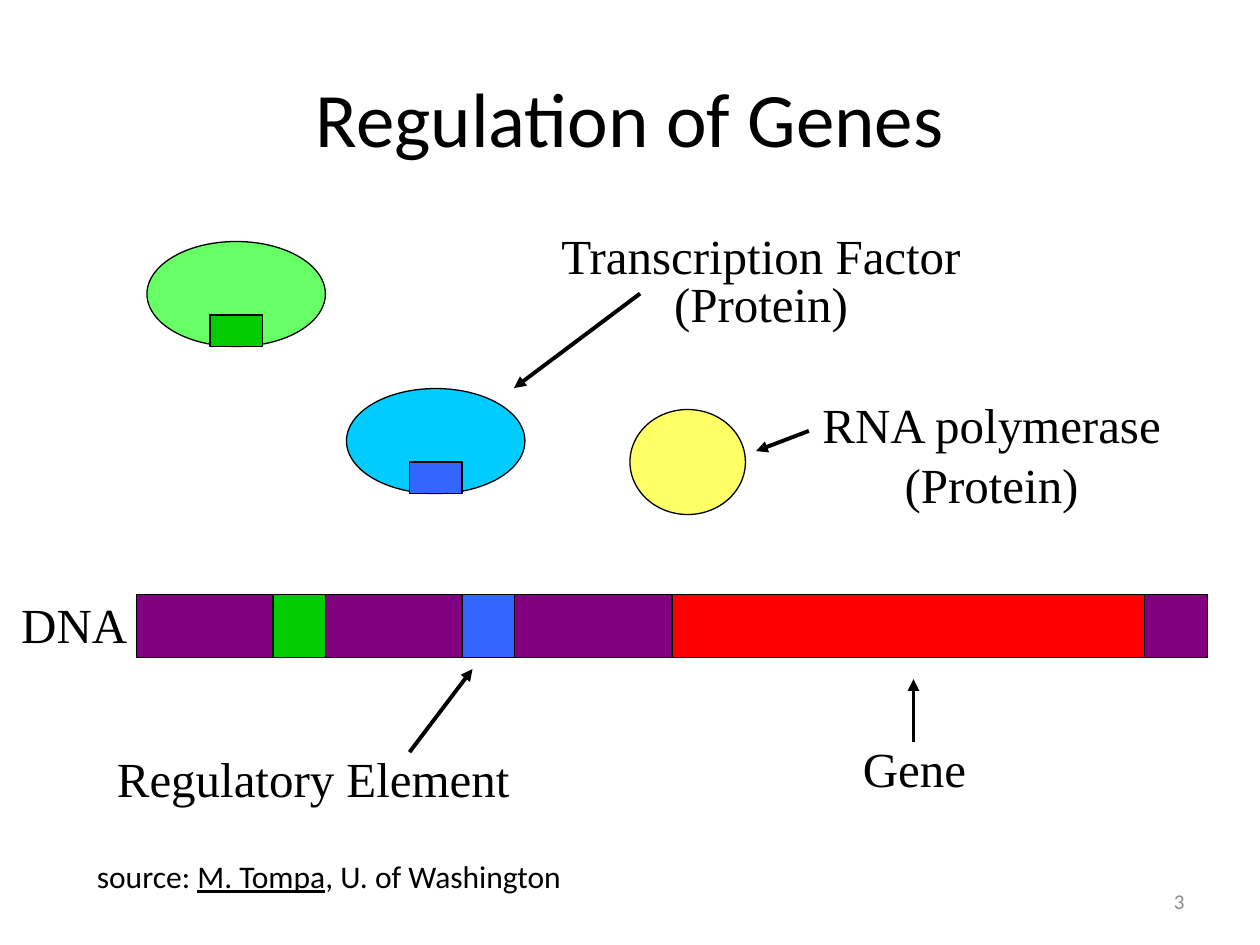
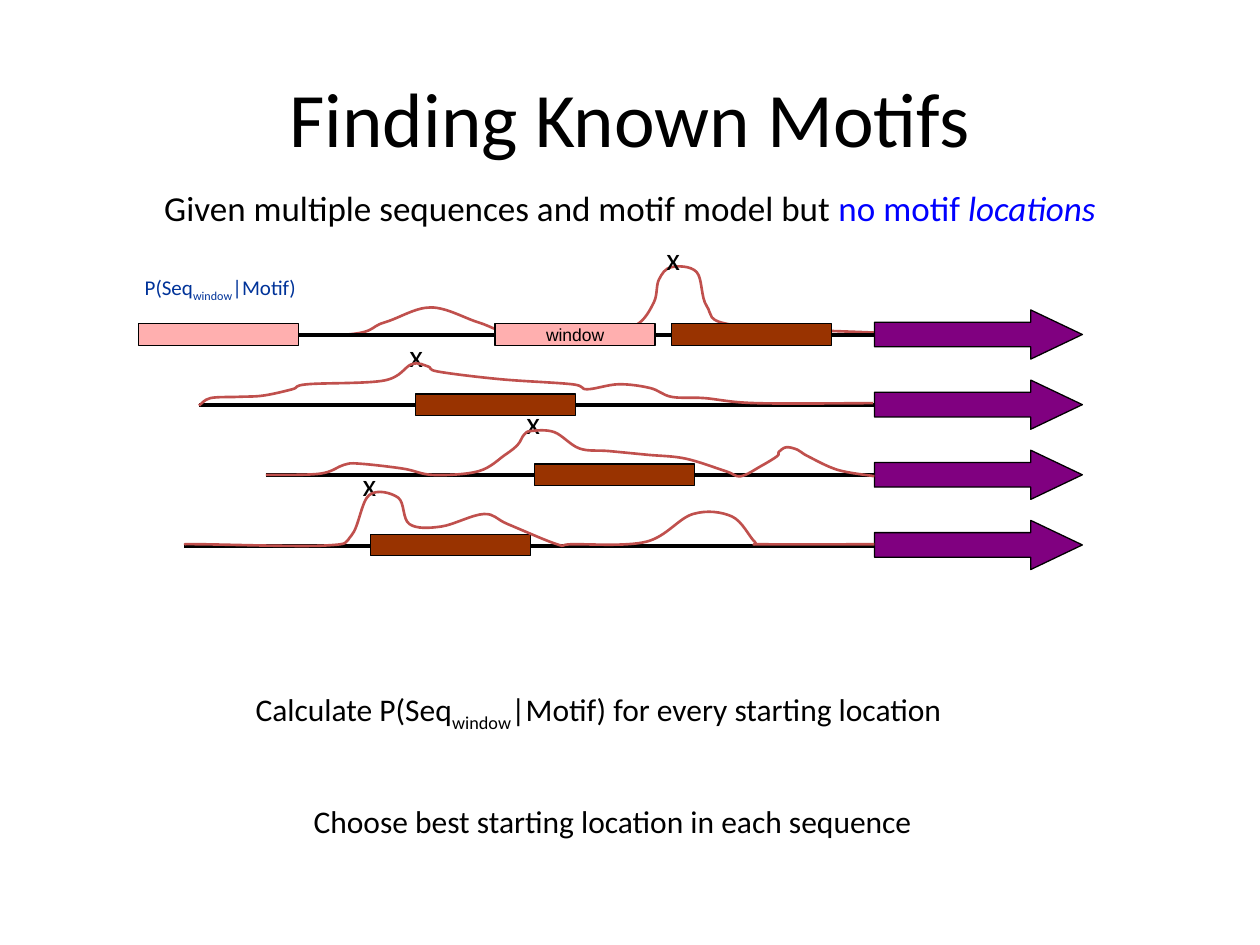
from itertools import pairwise
from lxml.etree import SubElement as Sub
from pptx import Presentation
from pptx.dml.color import RGBColor as Rgb
from pptx.enum.shapes import MSO_CONNECTOR as Link, MSO_SHAPE as Kind
from pptx.enum.text import MSO_ANCHOR as Anchor, PP_ALIGN as Align
from pptx.oxml.ns import qn
from pptx.util import Inches, Pt


class Theme:
    black, grey, blue, navy = "000000", "8C8C8C", "0000FF", "003399"
    purple, red, brown, pink = "800080", "FF0000", "993300", "FFAFAF"
    green, lime, royal, sky = "00CC00", "66FF66", "3366FF", "00CCFF"
    yellow, rust = "FFFF66", "C0504D"
    sans, serif, plain = "Calibri", "Times New Roman", "Arial"
    title, label, lead, body, small, tiny = 44, 28, 20, 18, 12, 10
    thin, curve, thick = 0.75, 1.5, 2.25


TITLE = dict(size=Theme.title)
LABEL = dict(size=Theme.label, name=Theme.serif)
BODY = dict(size=Theme.body)
SUB = dict(sub=True)


# Text
def write(frame, paras, base, align=Align.LEFT, wrap=True, anchor=Anchor.TOP):
    """Fill a frame; each paragraph is (runs, format), each run (text, format)."""
    frame.word_wrap, frame.vertical_anchor = wrap, anchor
    for i, (runs, form) in enumerate(paras):
        para = frame.add_paragraph() if i else frame.paragraphs[0]
        for key, val in {"alignment": align, **form}.items():
            setattr(para, key, val)
        for words, more in runs:
            look = {"name": Theme.sans, "color": Theme.black, **base, **more}
            run = para.add_run()
            run.text = words
            run.font.color.rgb = Rgb.from_string(look.pop("color"))
            if look.pop("sub", False):
                run._r.get_or_add_rPr().set("baseline", "-25000")
            look["size"] = Pt(look["size"])
            for key, val in look.items():
                setattr(run.font, key, val)


def text(slide, box, runs, base, **opts):
    runs = [(runs, {})] if isinstance(runs, str) else runs
    stack(slide, box, [(runs, {})], base, **opts)


def stack(slide, box, paras, base, **opts):
    area = slide.shapes.add_textbox(*map(Inches, box))
    write(area.text_frame, paras, base, **opts)


# Shapes and lines
def pen(line, color, width):
    line.color.rgb, line.width = Rgb.from_string(color), Pt(width)


def shape(slide, kind, box, fill):
    item = slide.shapes.add_shape(kind, *map(Inches, box))
    item.shadow.inherit = False
    item.fill.solid()
    item.fill.fore_color.rgb = Rgb.from_string(fill)
    pen(item.line, Theme.black, Theme.thin)
    return item


def line(slide, start, end, head=False):
    item = slide.shapes.add_connector(
        Link.STRAIGHT, *map(Inches, (*start, *end)))
    pen(item.line, Theme.black, Theme.thick)
    props = item._element.spPr
    if head:
        Sub(props.find(qn("a:ln")), qn("a:tailEnd"), type="triangle")
    Sub(props, qn("a:effectLst"))


def bend(item, knots):
    """Turn each straight step into a curve that leans on its neighbours."""
    left, top = min(x for x, _ in knots), min(y for _, y in knots)
    dots = [(x - left, y - top) for x, y in knots]
    ends = [dots[0], *dots, dots[-1]]
    leans = [((c[0] - a[0]) / 6, (c[1] - a[1]) / 6)
             for a, c in zip(ends, ends[2:])]
    steps = list(item._element.iter(qn("a:lnTo")))
    for step, (a, b), (m, n) in zip(steps, pairwise(dots), pairwise(leans)):
        step.tag = qn("a:cubicBezTo")
        step.clear()
        for x, y in [(a[0] + m[0], a[1] + m[1]),
                     (b[0] - n[0], b[1] - n[1]), b]:
            Sub(step, qn("a:pt"), x=str(round(x)), y=str(round(y)))


def curve(slide, score):
    knots = [(Inches(x), Inches(y)) for x, y in score]
    path = slide.shapes.build_freeform(*knots[0])
    path.add_line_segments(knots[1:], close=False)
    item = path.convert_to_shape()
    bend(item, knots)
    item.shadow.inherit = False
    item.fill.background()
    pen(item.line, Theme.rust, Theme.curve)


def page(deck, title):
    slide = deck.slides.add_slide(deck.slide_layouts[6])
    text(slide, (0.5, 0.3, 9, 1.25), title, TITLE,
         align=Align.CENTER, anchor=Anchor.MIDDLE)
    return slide


# Slide 1: proteins above a strand of DNA, on a grid of twelfths
def factor(slide, left, top, body, site):
    """A protein with its binding site at the lower edge."""
    shape(slide, Kind.OVAL, (left, top, 17 / 12, 10 / 12), body)
    shape(slide, Kind.RECTANGLE,
          (left + 0.5, top + 7 / 12, 5 / 12, 0.25), site)


def strand(slide, left, top):
    parts = [(0, 51, Theme.purple), (51, 45, Theme.red),
             (96, 6, Theme.purple), (13, 5, Theme.green),
             (31, 5, Theme.royal)]
    for shift, width, fill in parts:
        shape(slide, Kind.RECTANGLE,
              (left + shift / 12, top, width / 12, 0.5), fill)


def genes(deck):
    slide = page(deck, "Regulation of Genes")
    factor(slide, 14 / 12, 23 / 12, Theme.lime, Theme.green)
    factor(slide, 33 / 12, 37 / 12, Theme.sky, Theme.royal)
    shape(slide, Kind.OVAL, (5, 3.25, 11 / 12, 10 / 12), Theme.yellow)
    strand(slide, 13 / 12, 4.72)

    # Labels
    pairs = [((4.25, 1.83, 3.58, 0.85), "Transcription Factor", 0.8, 0.3),
             ((6.33, 3.25, 3.08, 0.89), "RNA polymerase", 0.6, 0.6)]
    for box, name, first, second in pairs:
        stack(slide, box, [
            ([(name, {})], dict(line_spacing=first)),
            ([("(Protein)", {})],
             dict(line_spacing=second, space_before=Pt(Theme.label / 2))),
        ], LABEL, align=Align.CENTER)
    for box, name in [((0.07, 4.67, 1.05, 0.57), "DNA"),
                      ((0.83, 5.89, 3.5, 0.57), "Regulatory Element"),
                      ((6.75, 5.81, 1.02, 0.57), "Gene")]:
        text(slide, box, name, LABEL, wrap=False)

    # Pointers from labels to parts
    for start, end in [((5.08, 2.33), (4.08, 3.08)),
                       ((6.42, 3.42), (6, 3.58)),
                       ((3.25, 5.97), (3.75, 5.31)),
                       ((7.25, 5.89), (7.25, 5.39))]:
        line(slide, start, end, head=True)

    # Source and page number
    text(slide, (0.67, 6.75, 4.81, 0.4), [
        ("source: ", {}), ("M. Tompa", dict(underline=True)),
        (", U. of Washington", {})], BODY, wrap=False)
    text(slide, (7.17, 6.95, 2.33, 0.4), "3",
         dict(size=Theme.small, color=Theme.grey),
         align=Align.RIGHT, anchor=Anchor.MIDDLE)


# Slide 2: one track per sequence: start, motif left, mark place
TRACKS = [(1.11, 5.33, (5.19, 1.85)), (1.58, 3.3, (3.15, 2.62)),
          (2.11, 4.24, (4.08, 3.15)), (1.46, 2.94, (2.78, 3.64))]
SCORES = [
    [(1.11, 2.64), (2.67, 2.66), (3.05, 2.56), (3.42, 2.44), (3.8, 2.56),
     (4.1, 2.65), (4.76, 2.65), (5.05, 2.58), (5.19, 2.4), (5.23, 2.22),
     (5.33, 2.12), (5.53, 2.16), (5.61, 2.43), (5.82, 2.58), (6.94, 2.64)],
    [(1.58, 3.22), (1.67, 3.16), (1.89, 3.15), (2.09, 3.14), (2.32, 3.09),
     (2.44, 3.05), (3.05, 3.02), (3.27, 2.89), (3.4, 2.91), (3.48, 2.95),
     (3.97, 3.01), (4.54, 3.05), (4.66, 3.09), (4.91, 3.05), (5.16, 3.08),
     (5.33, 3.15), (5.59, 3.16), (6, 3.2), (6.93, 3.2)],
    [(2.11, 3.77), (2.54, 3.76), (2.73, 3.69), (2.85, 3.68), (3.2, 3.72),
     (3.44, 3.77), (3.8, 3.74), (4.01, 3.61), (4.11, 3.53), (4.16, 3.45),
     (4.22, 3.42), (4.4, 3.43), (4.6, 3.56), (4.83, 3.58), (5.14, 3.61),
     (5.44, 3.64), (5.76, 3.74), (5.88, 3.78), (6.04, 3.7), (6.17, 3.62),
     (6.18, 3.59), (6.24, 3.55), (6.33, 3.57), (6.41, 3.62), (6.65, 3.73),
     (6.94, 3.78)],
    [(1.47, 4.32), (1.59, 4.32), (2.58, 4.33), (2.79, 4.25), (2.93, 3.93),
     (3.16, 3.95), (3.25, 4.16), (3.5, 4.18), (3.84, 4.08), (4.03, 4.16),
     (4.42, 4.32), (4.54, 4.32), (5.13, 4.3), (5.5, 4.08), (5.81, 4.1),
     (5.99, 4.3), (6.06, 4.32), (6.94, 4.32)],
]


def bar(slide, left, axis, fill):
    return shape(slide, Kind.RECTANGLE, (left, axis - 0.09, 1.27, 0.17), fill)


def track(slide, start, motif, axis):
    line(slide, (start, axis), (8.48, axis))
    gene = shape(slide, Kind.RIGHT_ARROW,
                 (6.94, axis - 0.2, 1.65, 0.39), Theme.purple)
    gene.adjustments[1] = 1.05
    bar(slide, motif, axis, Theme.brown)


def motifs(deck):
    slide = page(deck, "Finding Known Motifs")
    text(slide, (0, 1.43, 10, 0.43), [
        ("Given multiple sequences and motif model but", {}),
        (" no motif ", dict(color=Theme.blue)),
        ("locations", dict(color=Theme.blue, italic=True))],
        dict(size=Theme.lead), align=Align.CENTER)

    # Sequences, with the first score behind its windows
    top, span = 2.66, 1.67
    curve(slide, SCORES[0])
    for i, (start, motif, _) in enumerate(TRACKS):
        track(slide, start, motif, top + span * i / 3)
    for *_, place in TRACKS:
        text(slide, (*place, 0.37, 0.5), "x", BODY, wrap=False)
    for score in SCORES[1:]:
        curve(slide, score)

    # Sliding window
    bar(slide, 1.1, top, Theme.pink)
    view = bar(slide, 3.93, top, Theme.pink)
    write(view.text_frame, [([("window", {})], {})],
          dict(size=Theme.tiny, name=Theme.plain),
          align=Align.CENTER, wrap=False, anchor=Anchor.MIDDLE)
    text(slide, (1.05, 2.13, 1.59, 0.3),
         [("P(Seq", {}), ("window", SUB), ("|Motif)", {})],
         dict(size=Theme.small, color=Theme.navy), wrap=False)

    # Steps
    text(slide, (1.93, 5.43, 6.1, 0.4), [
        ("Calculate P(Seq", {}), ("window", SUB),
        ("|Motif) for every starting location", {})], BODY, wrap=False)
    text(slide, (2.39, 6.32, 5.45, 0.4),
         "Choose best starting location in each sequence", BODY, wrap=False)


def main():
    deck = Presentation()
    deck.slide_width, deck.slide_height = Inches(10), Inches(7.5)
    genes(deck)
    motifs(deck)
    deck.save("out.pptx")


if __name__ == "__main__":
    main()
